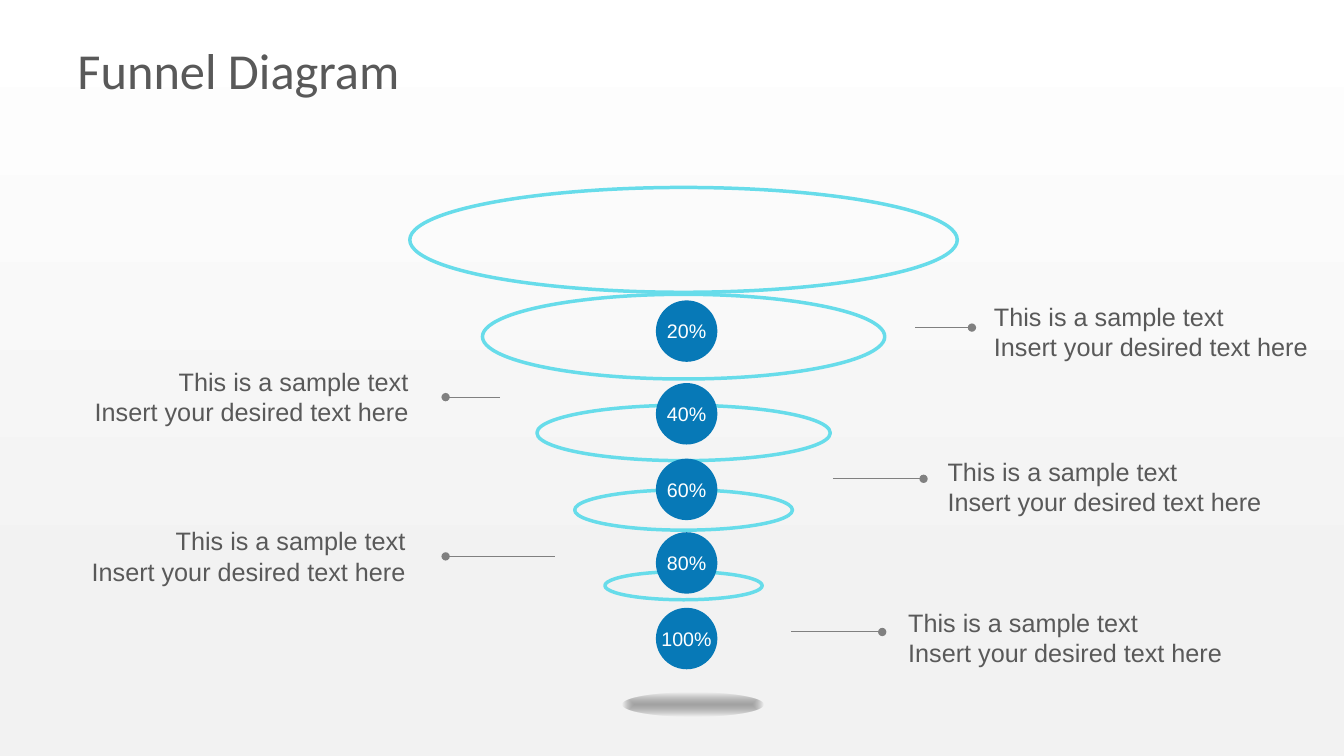
from lxml import etree
from pptx import Presentation
from pptx import util as u
from pptx.dml.color import RGBColor
from pptx.enum import shapes, text
from pptx.oxml import parse_xml
from pptx.oxml.ns import qn

Inches = u.Inches
COLORS = {
    "text": "595959",
    "badge": "0779B7",
    "badge_text": "FFFFFF",
    "ring": "67DCEA",
    "leader": "808080",
    "top": "FFFFFF",
    "bottom": "F2F2F2",
}
RING_CENTER = 6.78
BADGE_CENTER = 6.81
BADGE_SIZE = 0.61
CAPTION = ["This is a sample text", "Insert your desired text here"]

# top, width, height
RINGS = [
    (5.67, 1.56, 0.28),
    (4.86, 2.16, 0.4),
    (4.02, 2.91, 0.55),
    (2.92, 3.99, 0.84),
    (1.86, 5.43, 1.04),
]
# label, badge top, caption left, caption top, leader start, leader end, leader y
STAGES = [
    ("20%", 2.98, 9.76, 2.93, 9.08, 9.64, 3.25),
    ("40%", 3.8, 0.75, 3.58, 4.96, 4.42, 3.94),
    ("60%", 4.55, 9.3, 4.47, 8.26, 9.16, 4.75),
    ("80%", 5.28, 0.72, 5.16, 5.5, 4.42, 5.52),
    ("100%", 6.03, 8.91, 5.97, 7.85, 8.75, 6.27),
]
SHADOW_FILL = """
<a:gradFill xmlns:a="http://schemas.openxmlformats.org/drawingml/2006/main" rotWithShape="1">
  <a:gsLst>
    <a:gs pos="0"><a:srgbClr val="595959"><a:alpha val="52000"/></a:srgbClr></a:gs>
    <a:gs pos="100000"><a:srgbClr val="000000"><a:alpha val="0"/></a:srgbClr></a:gs>
  </a:gsLst>
  <a:path path="shape"><a:fillToRect l="50000" t="50000" r="50000" b="50000"/></a:path>
</a:gradFill>"""


def color(name):
    return RGBColor.from_string(COLORS[name])


def apply_format(target, values):
    for name, value in values.items():
        setattr(target, name, value)


def write_text(shape, lines, size, font_color, align, font="Arial", **frame_format):
    frame = shape.text_frame
    frame.text = "\n".join(lines)
    apply_format(frame, {"vertical_anchor": text.MSO_ANCHOR.MIDDLE,
                         "word_wrap": True, **frame_format})
    for paragraph in frame.paragraphs:
        paragraph.alignment = align
        apply_format(paragraph.font, {"name": font, "size": u.Pt(size)})
        paragraph.font.color.rgb = color(font_color)


def paint_background(slide):
    fill = slide.background.fill
    fill.gradient()
    fill.gradient_angle = 270
    for stop, position, name in zip(fill.gradient_stops, (0, 0.81), ("top", "bottom")):
        stop.position = position
        stop.color.rgb = color(name)


def add_ellipse(slide, center, top, width, height):
    shape = slide.shapes.add_shape(
        shapes.MSO_SHAPE.OVAL, Inches(center - width / 2), Inches(top),
        Inches(width), Inches(height))
    shape.shadow.inherit = False
    shape.fill.background()
    shape.line.fill.background()
    return shape


def add_ring(slide, top, width, height):
    ring = add_ellipse(slide, RING_CENTER, top, width, height)
    ring.line.color.rgb = color("ring")
    ring.line.width = u.Pt(2.5)


def add_badge(slide, label, top):
    badge = add_ellipse(slide, BADGE_CENTER, top, BADGE_SIZE, BADGE_SIZE)
    badge.fill.solid()
    badge.fill.fore_color.rgb = color("badge")
    write_text(badge, [label], 14, "badge_text", text.PP_ALIGN.CENTER,
               word_wrap=False, margin_left=0, margin_right=0,
               margin_top=0, margin_bottom=0)


def add_caption(slide, left, top):
    on_left = left < BADGE_CENTER
    box = slide.shapes.add_textbox(
        Inches(left), Inches(top), Inches(3.4), Inches(0.71))
    align = text.PP_ALIGN.RIGHT if on_left else text.PP_ALIGN.LEFT
    write_text(box, CAPTION, 18, "text", align,
               auto_size=text.MSO_AUTO_SIZE.SHAPE_TO_FIT_TEXT)


def add_leader(slide, start, end, y):
    """Draw a horizontal line with a dot at its end."""
    leader = slide.shapes.add_connector(
        shapes.MSO_CONNECTOR.STRAIGHT, Inches(start), Inches(y), Inches(end), Inches(y))
    leader.line.color.rgb = color("leader")
    leader.line.width = u.Pt(0.75)
    properties = leader.element.spPr
    etree.SubElement(properties.find(qn("a:ln")), qn("a:tailEnd"), type="oval")
    etree.SubElement(properties, qn("a:effectLst"))


def add_floor_shadow(slide):
    shadow = add_ellipse(slide, 6.87, 6.87, 1.4, 0.24)
    properties = shadow.element.spPr
    properties.replace(properties.find(qn("a:noFill")), parse_xml(SHADOW_FILL))


def add_title(slide, title):
    box = slide.shapes.add_textbox(Inches(0.67), Inches(0.3), Inches(7.33), Inches(0.78))
    write_text(box, [title], 36, "text", text.PP_ALIGN.LEFT, font="Calibri")


def main():
    presentation = Presentation()
    presentation.slide_width = Inches(13.33)
    presentation.slide_height = Inches(7.5)
    slide = presentation.slides.add_slide(presentation.slide_layouts[6])
    paint_background(slide)
    add_title(slide, "Funnel Diagram")
    for ring in RINGS:
        add_ring(slide, *ring)
    for label, badge_top, left, top, start, end, y in STAGES:
        add_caption(slide, left, top)
        add_badge(slide, label, badge_top)
        add_leader(slide, start, end, y)
    add_floor_shadow(slide)
    presentation.save("out.pptx")


if __name__ == "__main__":
    main()
